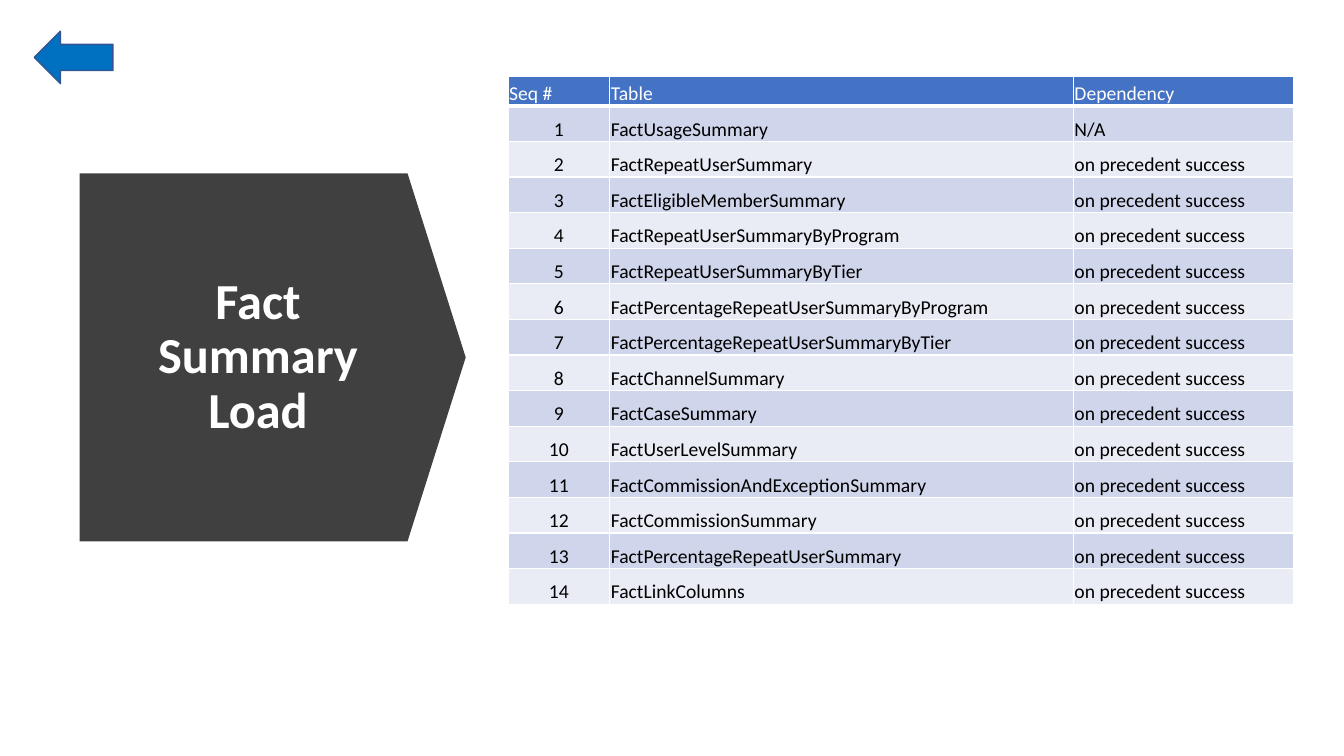
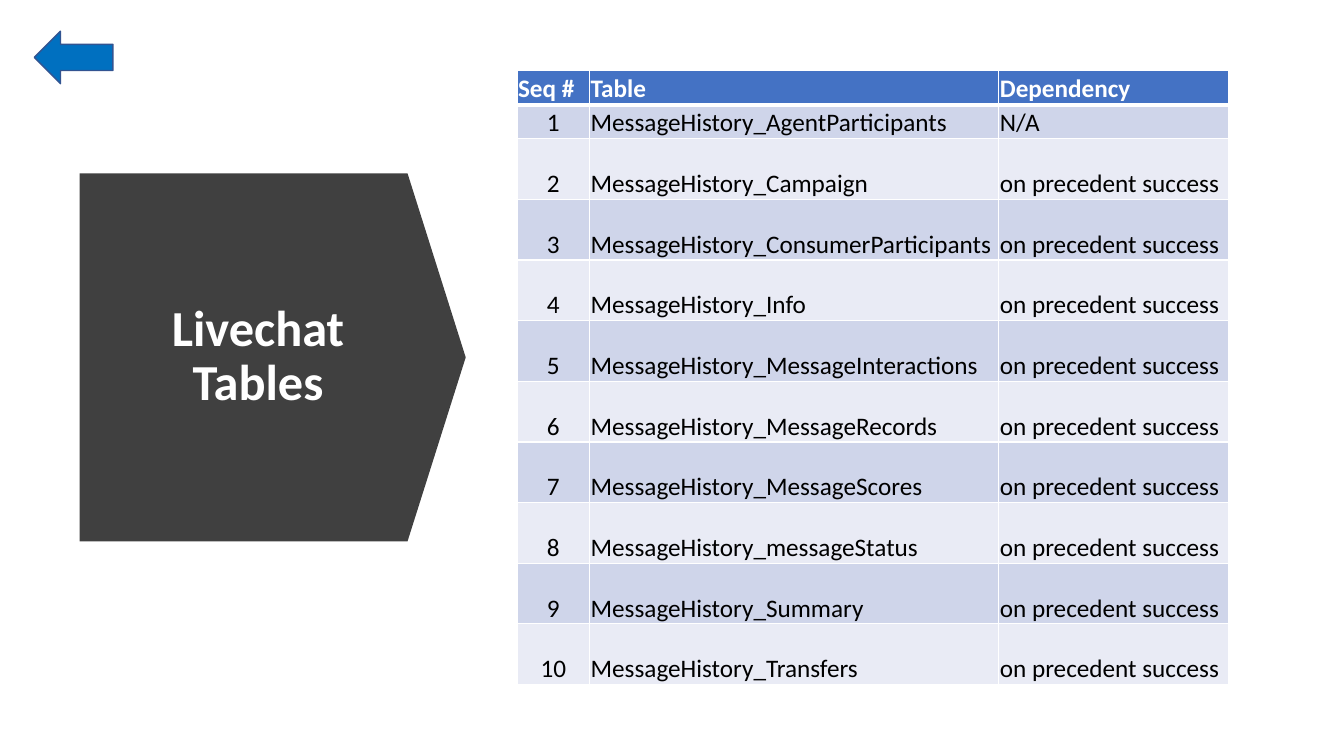
from pptx import Presentation
from pptx.dml.color import RGBColor
from pptx.enum.shapes import MSO_SHAPE
from pptx.enum.text import MSO_ANCHOR, PP_ALIGN
from pptx.oxml import parse_xml
from pptx.oxml.ns import nsdecls
from pptx.util import Inches, Pt


def rgb(value):
    """Turn a hex string into a colour."""
    return RGBColor.from_string(value)


class LoadDeck:
    """Hold the shared style and the current slide, on a grid of 160 columns by 90 rows."""

    FONT = "Calibri"
    WHITE, BLACK, CHARCOAL = "FFFFFF", "000000", "404040"
    BACK_FILL, BACK_LINE = "0070C0", "325491"
    HEADER, BANDS = "4472C4", ("CFD5EA", "E9EBF5")
    TITLE_SIZE = 36
    COLUMNS, ROWS = 160, 90

    def __init__(self):
        """Start an empty widescreen deck."""
        self.deck = Presentation()
        self.deck.slide_width = Inches(13.33)
        self.deck.slide_height = Inches(7.5)
        self.slide = None

    def x(self, columns):
        """Convert grid columns to a length."""
        return round(self.deck.slide_width * columns / self.COLUMNS)

    def y(self, rows):
        """Convert grid rows to a length."""
        return round(self.deck.slide_height * rows / self.ROWS)

    def place(self, left, top, width, height):
        """Convert a grid rectangle to lengths."""
        return self.x(left), self.y(top), self.x(width), self.y(height)

    def start(self, title):
        """Add a slide with its pointed title panel and back arrow."""
        self.slide = self.deck.slides.add_slide(self.deck.slide_layouts[6])
        panel = self.shape(MSO_SHAPE.DOWN_ARROW, (10.56, 19.56, 43.8, 45.96), self.CHARCOAL)
        panel.rotation = 270
        panel.adjustments[0], panel.adjustments[1] = 1, 0.158
        self.title(title)
        self.shape(MSO_SHAPE.LEFT_ARROW, (4.08, 3.72, 9.36, 6.24), self.BACK_FILL, self.BACK_LINE)

    def shape(self, preset, area, fill, line=None):
        """Add a flat preset shape."""
        shape = self.slide.shapes.add_shape(preset, *self.place(*area))
        shape.shadow.inherit = False
        shape.fill.solid()
        shape.fill.fore_color.rgb = rgb(fill)
        if line:
            shape.line.color.rgb = rgb(line)
            shape.line.width = Pt(1)
        else:
            shape.line.fill.background()
        return shape

    def add_text(self, frame, text, size, colour, bold, align):
        """Add one styled run to the first paragraph of a frame."""
        paragraph = frame.paragraphs[0]
        paragraph.alignment = align
        run = paragraph.add_run()
        run.text = text
        run.font.name, run.font.size, run.font.bold = self.FONT, Pt(size), bold
        run.font.color.rgb = rgb(colour)
        return paragraph

    def title(self, text):
        """Add the title over the panel."""
        frame = self.slide.shapes.add_textbox(*self.place(13.44, 25.8, 34.56, 33.48)).text_frame
        frame.word_wrap = True
        frame.vertical_anchor = MSO_ANCHOR.MIDDLE
        paragraph = self.add_text(frame, text, self.TITLE_SIZE, self.WHITE, True, PP_ALIGN.CENTER)
        paragraph.line_spacing = 0.9
        paragraph.space_after = Pt(6)

    def borders(self, cell, top, bottom):
        """Give a cell white borders, with top and bottom widths in points."""
        properties = cell._tc.get_or_add_tcPr()
        for side, width in (("L", 1), ("R", 1), ("T", top), ("B", bottom)):
            properties.append(parse_xml(
                f'<a:ln{side} {nsdecls("a")} w="{Pt(width)}"><a:solidFill>'
                f'<a:srgbClr val="{self.WHITE}"/></a:solidFill></a:ln{side}>'))

    def cell(self, cell, text, size, row, column, bold_header):
        """Style and fill one table cell."""
        header = row == 0
        self.borders(cell, 3 if row == 1 else 1, 3 if header else 1)
        cell.fill.solid()
        cell.fill.fore_color.rgb = rgb(self.HEADER if header else self.BANDS[(row - 1) % 2])
        cell.margin_left = cell.margin_right = cell.margin_top = Inches(0.01)
        cell.margin_bottom = 0
        cell.vertical_anchor = MSO_ANCHOR.BOTTOM
        centred = column == 0 and not header
        self.add_text(cell.text_frame, text, size, self.WHITE if header else self.BLACK,
                      header and bold_header, PP_ALIGN.CENTER if centred else PP_ALIGN.LEFT)

    def sequence(self, names, corner, widths, heights, size, bold_header):
        """Add the table of load steps, each after the first depending on the one before."""
        steps = [("Seq #", "Table", "Dependency")]
        for number, name in enumerate(names, 1):
            steps.append((str(number), name, "N/A" if number == 1 else "on precedent success"))
        area = self.place(*corner, sum(widths), sum(heights))
        table = self.slide.shapes.add_table(len(steps), len(widths), *area).table
        for column, width in enumerate(widths):
            table.columns[column].width = self.x(width)
        for row, (step, height) in enumerate(zip(steps, heights)):
            table.rows[row].height = self.y(height)
            for column, text in enumerate(step):
                self.cell(table.cell(row, column), text, size, row, column, bold_header)


FACT_TABLES = [
    "FactUsageSummary", "FactRepeatUserSummary", "FactEligibleMemberSummary",
    "FactRepeatUserSummaryByProgram", "FactRepeatUserSummaryByTier",
    "FactPercentageRepeatUserSummaryByProgram", "FactPercentageRepeatUserSummaryByTier",
    "FactChannelSummary", "FactCaseSummary", "FactUserLevelSummary",
    "FactCommissionAndExceptionSummary", "FactCommissionSummary",
    "FactPercentageRepeatUserSummary", "FactLinkColumns",
]
HISTORY_PARTS = [
    "AgentParticipants", "Campaign", "ConsumerParticipants", "Info", "MessageInteractions",
    "MessageRecords", "MessageScores", "messageStatus", "Summary", "Transfers",
]


def main():
    """Build and save both slides."""
    loads = LoadDeck()
    loads.start("Fact Summary Load")
    loads.sequence(FACT_TABLES, (60.48, 9.12), (12.12, 55.2, 26.16),
                   [3.48] + [4.24] * len(FACT_TABLES), 14, False)
    loads.start("Livechat Tables")
    loads.sequence([f"MessageHistory_{part}" for part in HISTORY_PARTS],
                   (61.56, 8.4), (8.64, 48.72, 27.36),
                   [4.06] * 2 + [7.22] * (len(HISTORY_PARTS) - 1), 18, True)
    loads.deck.save("out.pptx")


if __name__ == "__main__":
    main()
